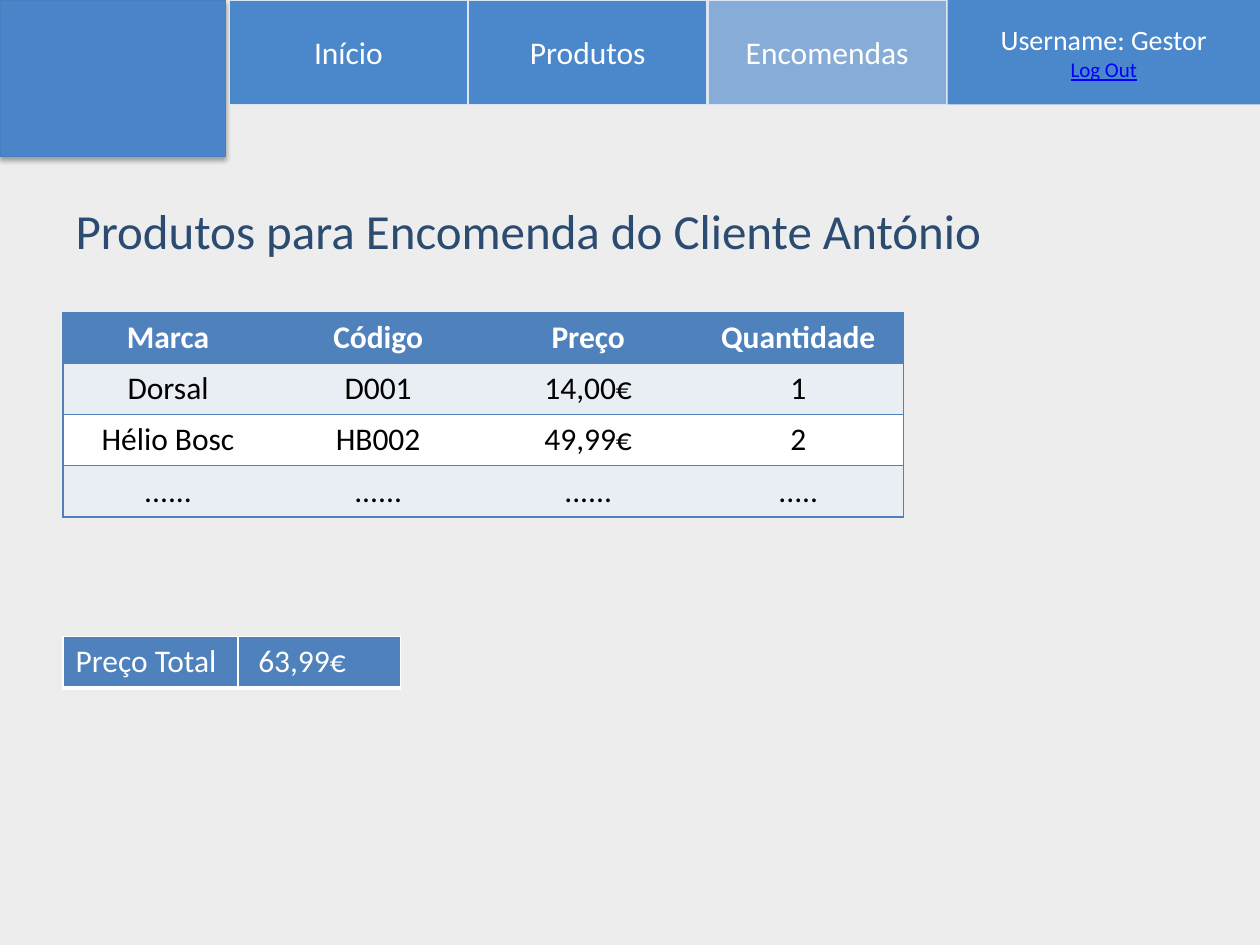
from lxml import etree
from pptx import Presentation
from pptx.dml.color import RGBColor
from pptx.enum.shapes import MSO_SHAPE
from pptx.enum.text import MSO_ANCHOR, PP_ALIGN
from pptx.oxml.ns import qn
from pptx.util import Inches, Pt

RECT = MSO_SHAPE.RECTANGLE
TOP, MIDDLE = MSO_ANCHOR.TOP, MSO_ANCHOR.MIDDLE
LEFT, CENTER = PP_ALIGN.LEFT, PP_ALIGN.CENTER

FONT = "Calibri"
WHITE, BLACK = "FFFFFF", "000000"
NAV, HEAD, BAND, PALE = "4B87CB", "4F81BD", "E9EDF4", "DCE6F2"


def color(code):
    return RGBColor.from_string(code)


def paint(fill, code):
    fill.solid()
    fill.fore_color.rgb = color(code)


def sub(parent, tag, **attrs):
    node = etree.SubElement(parent, qn(tag))
    for key, value in attrs.items():
        node.set(key, str(value))
    return node


def write(para, text, size, code, align=LEFT, bold=False, under=False):
    para.alignment = align
    run = para.add_run()
    run.text = text
    font = run.font
    font.name, font.size = FONT, Pt(size)
    font.bold, font.underline = bold, under
    font.color.rgb = color(code)


def add_box(slide, box, code, edge=None):
    shape = slide.shapes.add_shape(RECT, *map(Inches, box))
    shape.shadow.inherit = False
    paint(shape.fill, code)
    if edge:
        shape.line.color.rgb = color(edge)
        shape.line.width = Pt(0.75)
    else:
        shape.line.fill.background()
    shape.text_frame.word_wrap = True
    shape.text_frame.vertical_anchor = MIDDLE
    return shape


def add_logo(slide, box):
    shape = add_box(slide, box, "4A85C9", "4B7EBC")
    effects = shape._element.spPr.find(qn("a:effectLst"))
    shade = sub(effects, "a:outerShdw", blurRad=Pt(3.1), dist=Pt(1.8),
                dir=90 * 60000, rotWithShape=0)
    sub(sub(shade, "a:srgbClr", val=BLACK), "a:alpha", val=35000)


def add_menu(slide, box, names, active):
    left, top, width, height = box
    step = width / len(names)
    for i, name in enumerate(names):
        tab = add_box(slide, (left + i * step, top, step - 0.01, height),
                      NAV, PALE)
        write(tab.text_frame.paragraphs[0], name, 18, WHITE, CENTER)
        if name == active:
            solid = tab._element.spPr.find(qn("a:solidFill"))
            sub(solid[0], "a:alpha", val=63000)


def add_user(slide, box):
    frame = add_box(slide, box, NAV).text_frame
    write(frame.paragraphs[0], "Username: Gestor", 16, WHITE, CENTER)
    write(frame.add_paragraph(), "Log Out", 12, "0000FF", CENTER, under=True)


def add_title(slide, box, text):
    title = slide.shapes.title
    title.left, title.top, title.width, title.height = map(Inches, box)
    title.text_frame.vertical_anchor = TOP
    write(title.text_frame.paragraphs[0], text, 28, "2B4B70")


def set_edges(cell, edges):
    """Draw the given sides as (colour, points); clear the others."""
    props = cell._tc.get_or_add_tcPr()
    for side in "LRTB":
        if side in edges:
            code, width = edges[side]
            line = sub(props, "a:ln" + side, w=Pt(width))
            sub(sub(line, "a:solidFill"), "a:srgbClr", val=code)
        else:
            sub(sub(props, "a:ln" + side, w=0), "a:noFill")


def add_grid(slide, box, rows, widths):
    frame = slide.shapes.add_table(len(rows), len(widths), *map(Inches, box))
    table = frame.table
    table.first_row = table.horz_banding = False
    for col, width in zip(table.columns, widths):
        col.width = Inches(width)
    return table


def add_orders(slide, box, rows):
    count = len(rows[0])
    table = add_grid(slide, box, rows, [box[2] / count] * count)
    line = (HEAD, 1)
    for r, row in enumerate(rows):
        fill = HEAD if r == 0 else BAND if r % 2 else WHITE
        for c, text in enumerate(row):
            cell = table.cell(r, c)
            edges = {"T": line, "B": line}
            if c == 0:
                edges["L"] = line
            if c == count - 1:
                edges["R"] = line
            set_edges(cell, edges)
            paint(cell.fill, fill)
            write(cell.text_frame.paragraphs[0], text, 18,
                  BLACK if r else WHITE, CENTER, bold=r == 0)


def add_total(slide, box, row, widths):
    table = add_grid(slide, box, [row], widths)
    edges = dict.fromkeys("LRT", (WHITE, 1)) | {"B": (WHITE, 3)}
    for c, text in enumerate(row):
        cell = table.cell(0, c)
        set_edges(cell, edges)
        paint(cell.fill, HEAD)
        write(cell.text_frame.paragraphs[0], text, 18, WHITE)
    cell.margin_left = Inches(0.16)


def main():
    deck = Presentation()
    deck.slide_width, deck.slide_height = Inches(10), Inches(7.5)
    slide = deck.slides.add_slide(deck.slide_layouts[5])
    paint(slide.background.fill, "EDEDED")

    # Top bar
    add_logo(slide, (0, 0, 1.79, 1.24))
    add_user(slide, (7.52, 0, 2.48, 0.83))
    add_menu(slide, (1.82, 0, 5.7, 0.83),
             ["Início", "Produtos", "Encomendas"], "Encomendas")

    # Order of the client
    add_title(slide, (0.5, 1.54, 7.95, 0.57),
              "Produtos para Encomenda do Cliente António")
    add_orders(slide, (0.5, 2.48, 6.67, 1.62), [
        ["Marca", "Código", "Preço", "Quantidade"],
        ["Dorsal", "D001", "14,00€", "1"],
        ["Hélio Bosc", "HB002", "49,99€", "2"],
        ["......", "......", "......", "....."],
    ])
    add_total(slide, (0.5, 5.05, 2.68, 0.41),
              ["Preço Total", "63,99€"], [1.39, 1.29])

    deck.save("out.pptx")


if __name__ == "__main__":
    main()
